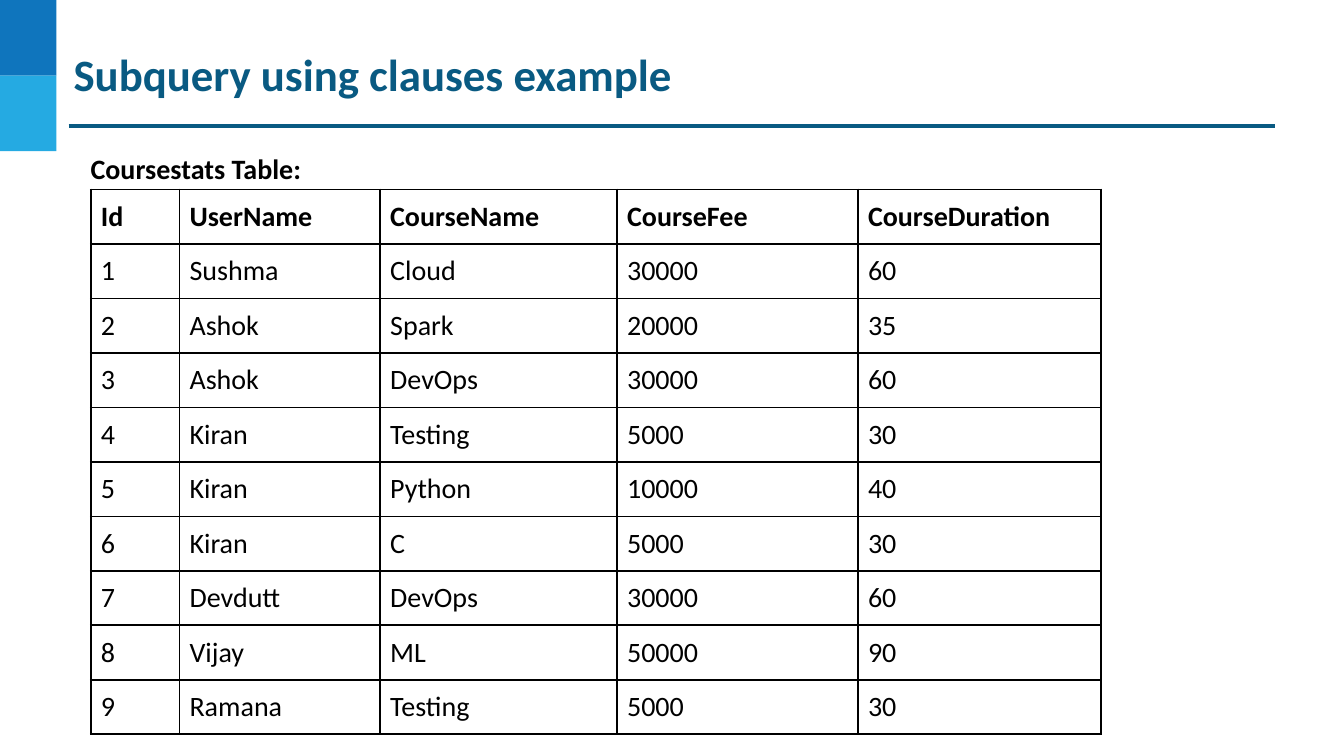
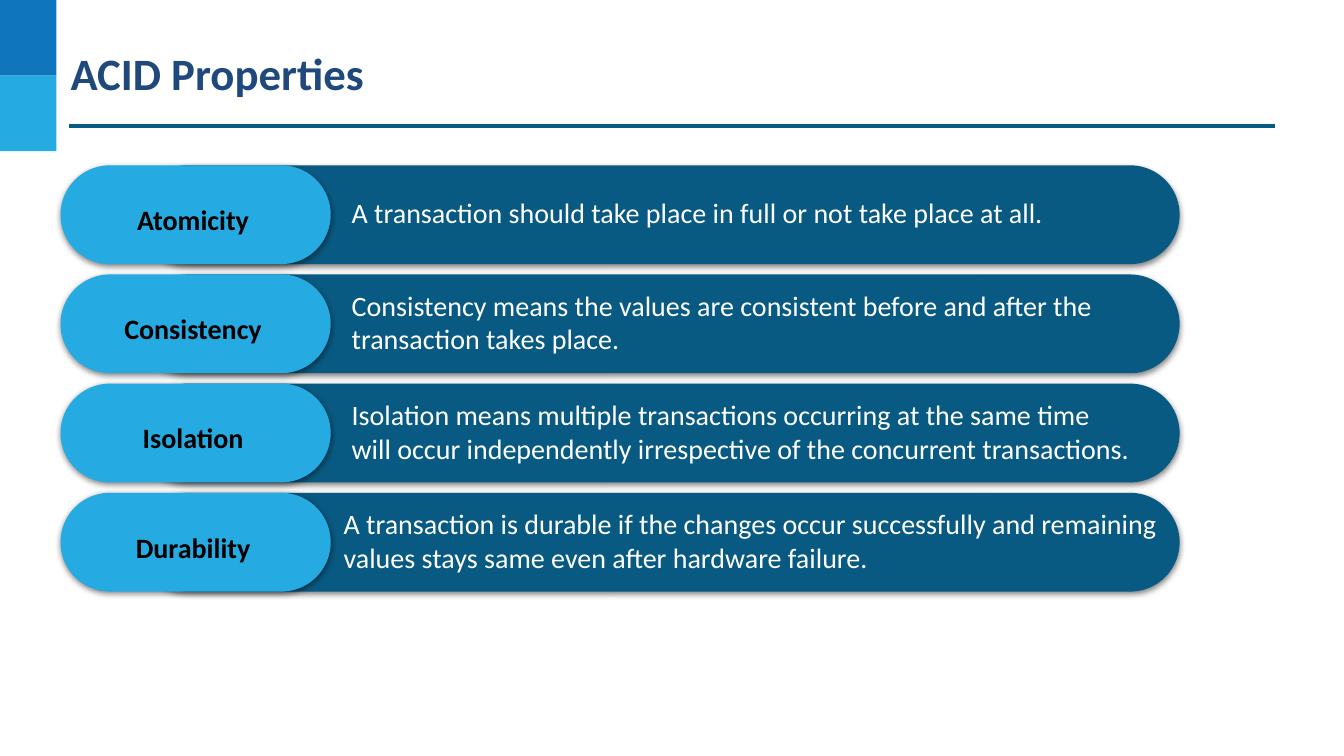
from dataclasses import dataclass

from lxml import etree
from pptx import Presentation
from pptx.dml.color import RGBColor
from pptx.enum.shapes import MSO_CONNECTOR, MSO_SHAPE
from pptx.enum.text import MSO_ANCHOR, MSO_AUTO_SIZE, PP_ALIGN
from pptx.oxml.ns import qn
from pptx.util import Inches, Pt

RECT, PILL = MSO_SHAPE.RECTANGLE, MSO_SHAPE.ROUNDED_RECTANGLE
STRAIGHT = MSO_CONNECTOR.STRAIGHT
TOP, MIDDLE = MSO_ANCHOR.TOP, MSO_ANCHOR.MIDDLE
LEFT, CENTER = PP_ALIGN.LEFT, PP_ALIGN.CENTER
NO_FIT = MSO_AUTO_SIZE.NONE

# Shared look
FONT = "Calibri"
BLUE, SKY, TEAL, NAVY = "0F75BD", "25AAE2", "095A82", "1F497D"
BLACK, WHITE = "000000", "FFFFFF"
BAND_W, BAND_H = 0.56, 0.75
TEXT_SIZE, TITLE_SIZE = 20, 32

# Course table
COL_WIDTHS = [0.88, 1.99, 2.35, 2.39, 2.41]
ROW_H = 0.48
COURSES = [
    ("Id", "UserName", "CourseName", "CourseFee", "CourseDuration"),
    ("1", "Sushma", "Cloud", "30000", "60"),
    ("2", "Ashok", "Spark", "20000", "35"),
    ("3", "Ashok", "DevOps", "30000", "60"),
    ("4", "Kiran", "Testing", "5000", "30"),
    ("5", "Kiran", "Python", "10000", "40"),
    ("6", "Kiran", "C", "5000", "30"),
    ("7", "Devdutt", "DevOps", "30000", "60"),
    ("8", "Vijay", "ML", "50000", "90"),
    ("9", "Ramana", "Testing", "5000", "30"),
]

# Property rows
FIRST_ROW, ROW_PITCH, PILL_H = 1.64, 1.083, 0.98


@dataclass
class Property:
    name: str
    meaning: str
    left: float = 3.39
    width: float = 8.04


PROPERTIES = [
    Property("Atomicity", "A transaction should take place in full or not take place at all."),
    Property("Consistency", "Consistency means the values are consistent before and after the "
                            "transaction takes place."),
    Property("Isolation", "Isolation means multiple transactions occurring at the same time\n"
                          "will occur independently irrespective of the concurrent transactions."),
    Property("Durability", "A transaction is durable if the changes occur successfully and "
                           "remaining values stays same even after hardware failure.", 3.31, 8.32),
]


def rgb(color: str) -> RGBColor:
    return RGBColor.from_string(color)


def write(tf, text: str, color: str, size: float = TEXT_SIZE, bold: bool = False,
          align=LEFT, anchor=TOP, inset: float = 0.1):
    """Fill a text frame with one formatted paragraph and return it."""
    margins = {f"margin_{side}": Inches(inset) for side in ("left", "top", "right", "bottom")}
    frame = {"word_wrap": True, "auto_size": NO_FIT, "vertical_anchor": anchor, **margins}
    for name, value in frame.items():
        setattr(tf, name, value)
    p = tf.paragraphs[0]
    p.text, p.alignment = text, align
    for r in p.runs:
        for name, value in {"name": FONT, "size": Pt(size), "bold": bold}.items():
            setattr(r.font, name, value)
        r.font.color.rgb = rgb(color)
    return p


def add_text(s, at: tuple[float, ...], text: str, color: str, **style):
    return write(s.shapes.add_textbox(*map(Inches, at)).text_frame, text, color, **style)


def add_block(s, kind, at: tuple[float, ...], color: str):
    sp = s.shapes.add_shape(kind, *map(Inches, at))
    sp.shadow.inherit = False
    sp.fill.solid()
    sp.fill.fore_color.rgb = rgb(color)
    sp.line.fill.background()
    return sp


def add_pill(s, at: tuple[float, ...], color: str) -> None:
    """Fully rounded bar with a soft shadow straight below."""
    sp = add_block(s, PILL, at, color)
    sp.adjustments[0] = 0.5
    effects = sp._element.spPr.find(qn("a:effectLst"))
    shadow = etree.SubElement(effects, qn("a:outerShdw"), blurRad=str(Pt(4.5)),
                              dist=str(Pt(1.5)), dir="5400000", rotWithShape="0")
    tint = etree.SubElement(shadow, qn("a:srgbClr"), val=BLACK)
    etree.SubElement(tint, qn("a:alpha"), val="50000")


def decorate_layout(s) -> None:
    """Draw the corner bands and title rule, then move them to the layout."""
    parts = [add_block(s, RECT, (0, i * BAND_H, BAND_W, BAND_H), color)
             for i, color in enumerate((BLUE, SKY))]
    rule = s.shapes.add_connector(STRAIGHT, *map(Inches, (0.68, 1.25, 12.65, 1.25)))
    rule.line.color.rgb = rgb(TEAL)
    rule.line.width = Pt(2.25)
    etree.SubElement(rule._element.spPr, qn("a:effectLst"))
    for part in (*parts, rule):
        s.slide_layout.shapes._spTree.append(part._element)


def add_titled_slide(prs, title: str, color: str, left: float, top: float):
    s = prs.slides.add_slide(prs.slide_layouts[5])
    sp = s.shapes.title
    place = {"left": left, "top": top, "width": 11.97, "height": 0.58}
    for name, value in place.items():
        setattr(sp, name, Inches(value))
    write(sp.text_frame, title, color, size=TITLE_SIZE, bold=True, inset=0.02)
    return s


def border_cell(cell) -> None:
    tc_pr = cell._tc.get_or_add_tcPr()
    for i, side in enumerate(("lnL", "lnR", "lnT", "lnB")):
        ln = etree.Element(qn(f"a:{side}"), w=str(Pt(1.5)))
        fill = etree.SubElement(ln, qn("a:solidFill"))
        etree.SubElement(fill, qn("a:srgbClr"), val=BLACK)
        tc_pr.insert(i, ln)


def add_course_table(s) -> None:
    at = (0.9, 1.88, sum(COL_WIDTHS), ROW_H * len(COURSES))
    table = s.shapes.add_table(len(COURSES), len(COL_WIDTHS), *map(Inches, at)).table
    table.first_row = table.horz_banding = False
    for column, width in zip(table.columns, COL_WIDTHS):
        column.width = Inches(width)
    for i, values in enumerate(COURSES):
        for j, value in enumerate(values):
            cell = table.cell(i, j)
            for side in ("left", "top", "right", "bottom"):
                setattr(cell, f"margin_{side}", Inches(0.1))
            cell.fill.background()
            border_cell(cell)
            p = cell.text_frame.paragraphs[0]
            r = p.add_run()
            r.text = value
            for name, setting in {"name": FONT, "size": Pt(TEXT_SIZE), "bold": i == 0}.items():
                setattr(r.font, name, setting)
            r.font.color.rgb = rgb(BLACK)


def add_property(s, row: int, item: Property) -> None:
    top = FIRST_ROW + row * ROW_PITCH
    add_pill(s, (1.37, top, 10.33, PILL_H), TEAL)
    add_pill(s, (0.6, top, 2.68, PILL_H), SKY)
    p = add_text(s, (0.74, top + 0.22, 2.35, 0.54), item.name, BLACK, bold=True, align=CENTER)
    p.line_spacing, p.space_after = 1.15, Pt(10)
    add_text(s, (item.left, top + 0.03, item.width, 0.88), item.meaning, WHITE, anchor=MIDDLE)


def main() -> None:
    prs = Presentation()
    prs.slide_width, prs.slide_height = Inches(13.33), Inches(7.5)

    # Table slide
    s = add_titled_slide(prs, "Subquery using clauses example", TEAL, 0.71, 0.44)
    decorate_layout(s)
    add_text(s, (0.8, 1.4, 11.65, 0.54), "Coursestats Table:", BLACK, bold=True)
    add_course_table(s)

    # Properties slide
    s = add_titled_slide(prs, "ACID Properties", NAVY, 0.68, 0.43)
    for row, item in enumerate(PROPERTIES):
        add_property(s, row, item)

    prs.save("out.pptx")


if __name__ == "__main__":
    main()
